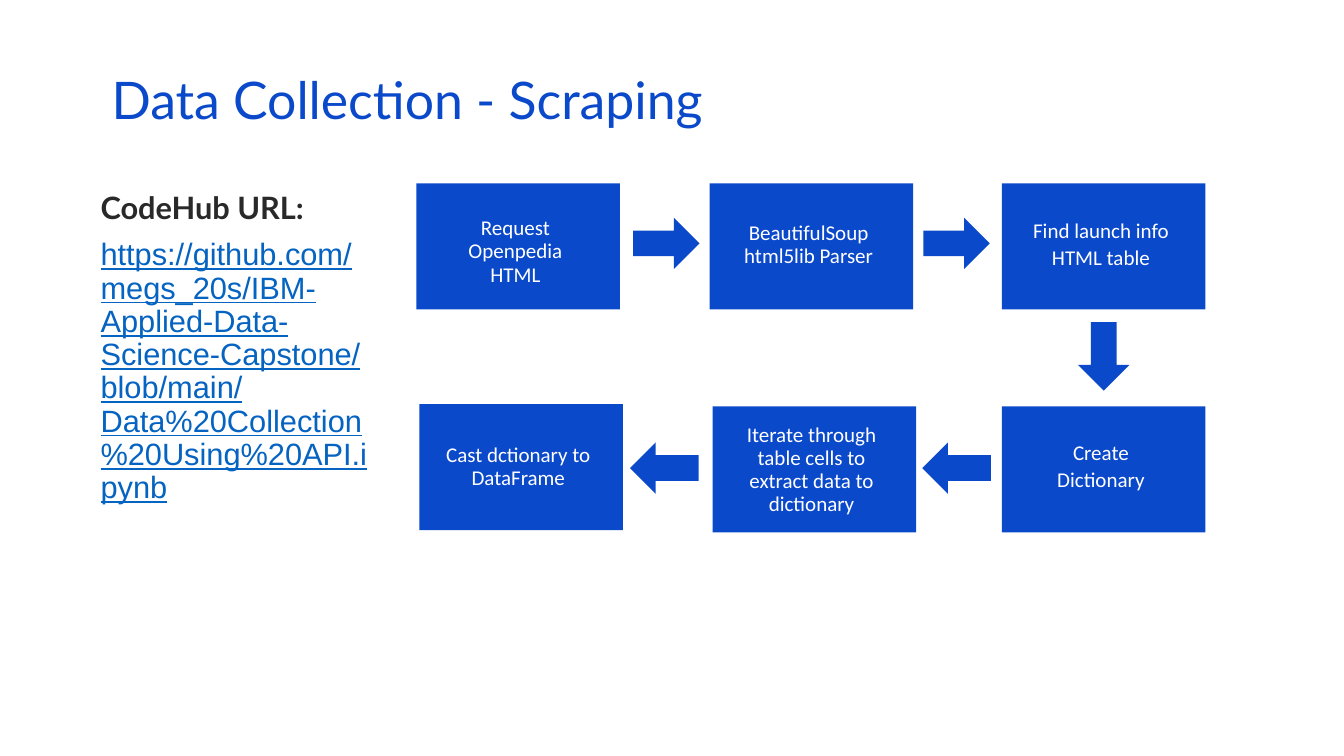
from dataclasses import dataclass

from pptx import Presentation
from pptx.dml.color import RGBColor
from pptx.enum.shapes import MSO_SHAPE as SHAPE
from pptx.enum.text import MSO_ANCHOR as ANCHOR, PP_ALIGN as ALIGN
from pptx.util import Pt


@dataclass(frozen=True)
class Theme:
    blue: RGBColor = RGBColor(0x0B, 0x49, 0xCB)
    dark: RGBColor = RGBColor(0x29, 0x29, 0x29)
    link: RGBColor = RGBColor(0x05, 0x63, 0xC1)
    white: RGBColor = RGBColor(0xFF, 0xFF, 0xFF)
    title_size: float = 37
    body_size: float = 22
    step_size: float = 15


theme = Theme()


def add_run(p, text, font, size, color):
    r = p.add_run()
    r.text = text
    r.font.name = font
    r.font.size = Pt(size)
    r.font.color.rgb = color
    return r


def add_blue_shape(kind, x, y, w, h):
    sp = s.shapes.add_shape(kind, Pt(x), Pt(y), Pt(w), Pt(h))
    sp.shadow.inherit = False
    sp.fill.solid()
    sp.fill.fore_color.rgb = theme.blue
    sp.line.fill.background()
    return sp


prs = Presentation()
prs.slide_width, prs.slide_height = Pt(960), Pt(540)
s = prs.slides.add_slide(prs.slide_layouts[6])

# Title
tf = s.shapes.add_textbox(Pt(72.7), Pt(54.7), Pt(828), Pt(43.2)).text_frame
tf.word_wrap = True
tf.vertical_anchor = ANCHOR.MIDDLE
p = tf.paragraphs[0]
p.line_spacing = 0.7
add_run(p, "Data Collection - Scraping", "Lato", theme.title_size, theme.blue)

# Notebook address
tf = s.shapes.add_textbox(Pt(64.8), Pt(131), Pt(216), Pt(343.4)).text_frame
tf.word_wrap = True
r = add_run(tf.paragraphs[0], "CodeHub URL:", "Lato", theme.body_size, theme.dark)
r.font.bold = True
p = tf.add_paragraph()
p.line_spacing = 0.9
p.space_before = Pt(10)
r = add_run(
    p,
    "https://github.com/megs_20s/IBM-Applied-Data-Science-Capstone"
    "/blob/main/Data%20Collection%20Using%20API.ipynb",
    "Arial", theme.body_size, theme.link,
)
r.font.underline = True

# Steps, in reading order: left, top, top inset, paragraphs
STEP_W, STEP_H = 145.4, 90
steps = [
    (297.4, 131, 24, ["Request Openpedia HTML"]),
    (506.9, 131, 27.4, ["BeautifulSoup html5lib Parser"]),
    (715.7, 131, 26, ["Find launch info", "HTML table"]),
    (715.7, 290.2, 25.2, ["Create", "Dictionary"]),
    (509, 290.2, 12.2, ["Iterate through table cells to extract data to dictionary"]),
    (299.5, 288.7, 28, ["Cast dctionary to DataFrame"]),
]
for x, y, inset, lines in steps:
    tf = add_blue_shape(SHAPE.RECTANGLE, x, y, STEP_W, STEP_H).text_frame
    tf.word_wrap = True
    tf.vertical_anchor = ANCHOR.TOP
    tf.margin_left, tf.margin_right = Pt(18), Pt(22)
    tf.margin_top, tf.margin_bottom = Pt(inset), Pt(0)
    for i, line in enumerate(lines):
        p = tf.add_paragraph() if i else tf.paragraphs[0]
        p.alignment = ALIGN.CENTER
        p.line_spacing = Pt(16.5)
        p.space_before = Pt(2.9 if i else 0)
        add_run(p, line, "Calibri", theme.step_size, theme.white)

# Block arrows from step to step
arrows = [
    (SHAPE.RIGHT_ARROW, 452.2, 155.5, 47.5, 36.7),
    (SHAPE.RIGHT_ARROW, 659.5, 155.5, 47.5, 36.7),
    (SHAPE.DOWN_ARROW, 770, 230, 36.7, 49),
    (SHAPE.LEFT_ARROW, 658.8, 316, 49, 36.7),
    (SHAPE.LEFT_ARROW, 450, 316, 49, 36.7),
]
for arrow in arrows:
    add_blue_shape(*arrow)

prs.save("out.pptx")
